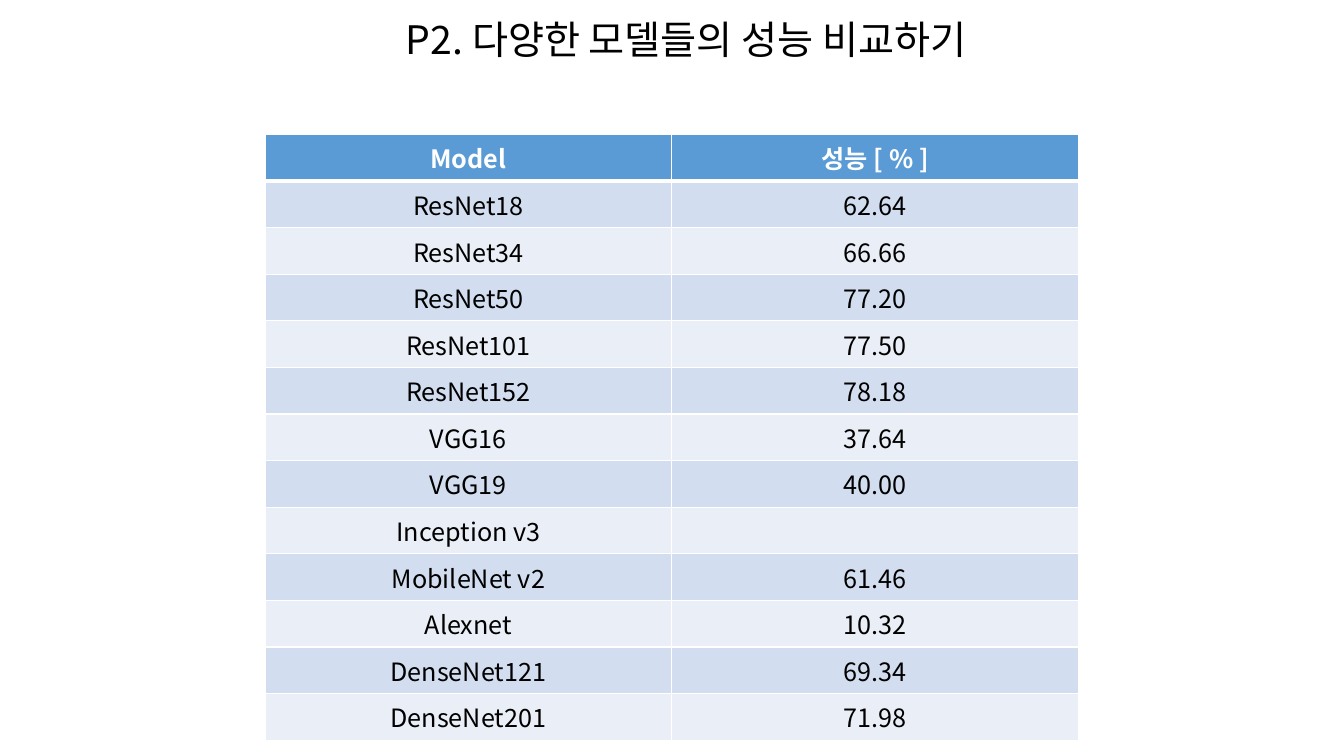
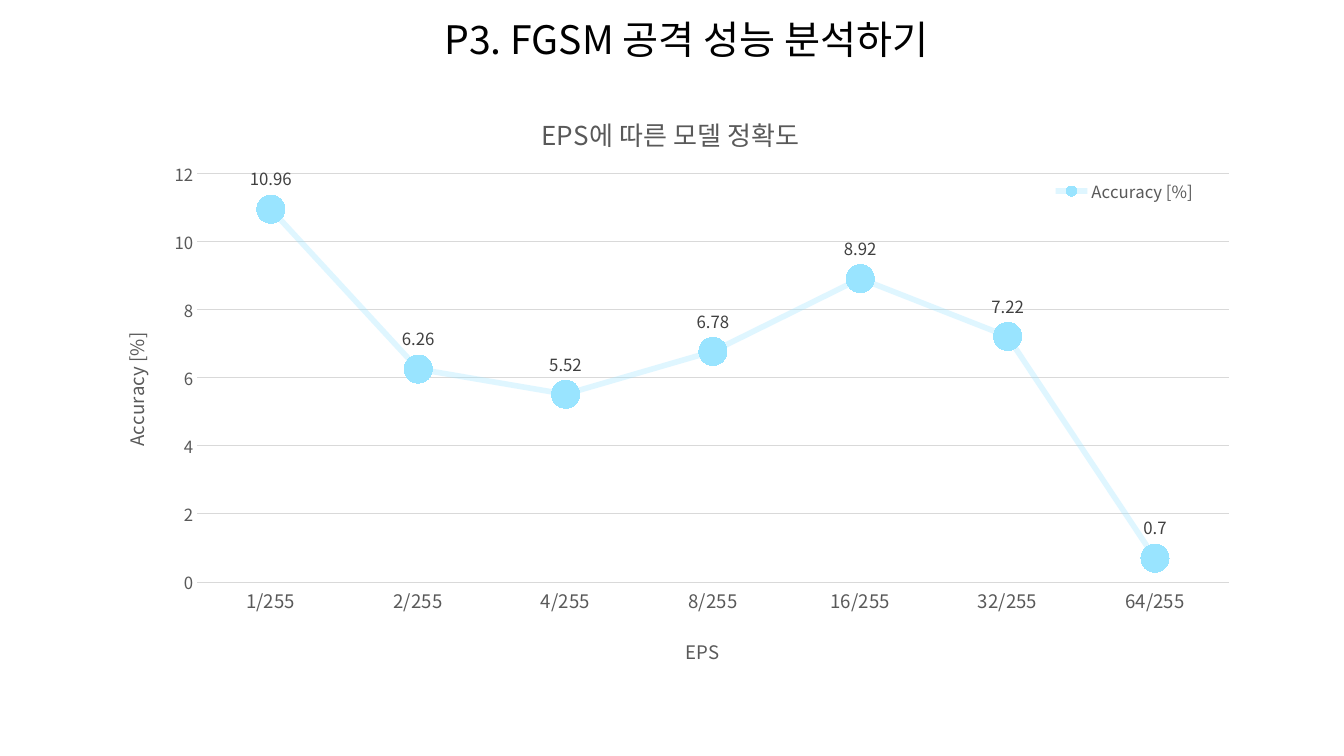
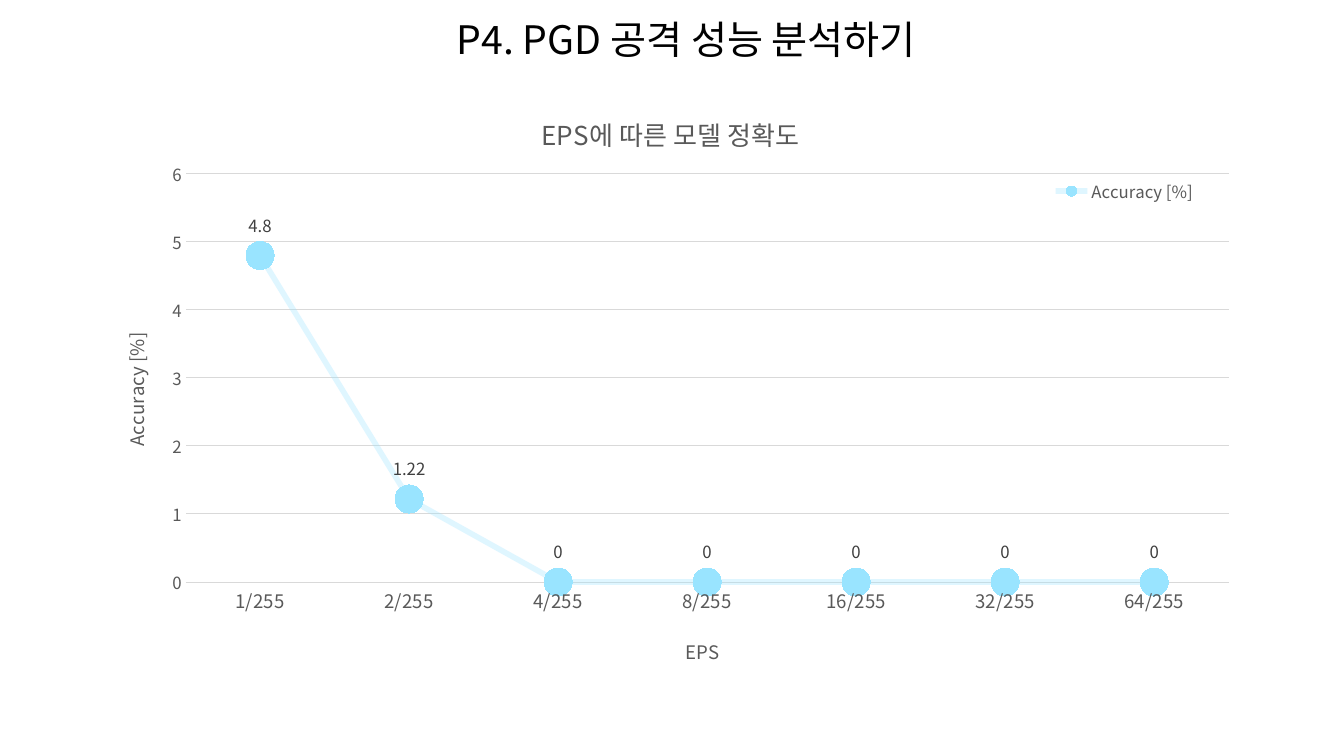
from lxml import etree
from pptx import Presentation
from pptx.chart.data import CategoryChartData
from pptx.dml.color import RGBColor
from pptx.enum.chart import (XL_CHART_TYPE, XL_LABEL_POSITION, XL_LEGEND_POSITION,
                             XL_MARKER_STYLE, XL_TICK_MARK)
from pptx.enum.text import MSO_ANCHOR, MSO_AUTO_SIZE, PP_ALIGN
from pptx.oxml.ns import qn
from pptx.util import Cm, Pt

LINE_MARKERS = XL_CHART_TYPE.LINE_MARKERS
LABEL_ABOVE = XL_LABEL_POSITION.ABOVE
LEGEND_CORNER = XL_LEGEND_POSITION.CORNER
CIRCLE = XL_MARKER_STYLE.CIRCLE
NO_TICK = XL_TICK_MARK.NONE
MIDDLE = MSO_ANCHOR.MIDDLE
NO_FIT = MSO_AUTO_SIZE.NONE
CENTER = PP_ALIGN.CENTER

FONT = "Noto Sans CJK KR"
BLACK = RGBColor(0x00, 0x00, 0x00)
WHITE = RGBColor(0xFF, 0xFF, 0xFF)
HEADER_BLUE = RGBColor(0x5B, 0x9B, 0xD5)
BAND_DARK = RGBColor(0xD2, 0xDE, 0xEF)
BAND_LIGHT = RGBColor(0xEA, 0xEF, 0xF7)
SKY = RGBColor(0x99, 0xE4, 0xFF)
GRAY = RGBColor(0x59, 0x59, 0x59)
LABEL_GRAY = RGBColor(0x40, 0x40, 0x40)
GRID_GRAY = RGBColor(0xD9, 0xD9, 0xD9)

TITLES = [
    "P2. 다양한 모델들의 성능 비교하기",
    "P3. FGSM 공격 성능 분석하기",
    "P4. PGD 공격 성능 분석하기",
]
RESULTS = [
    ("Model", "성능 [ % ]"),
    ("ResNet18", "62.64"),
    ("ResNet34", "66.66"),
    ("ResNet50", "77.20"),
    ("ResNet101", "77.50"),
    ("ResNet152", "78.18"),
    ("VGG16", "37.64"),
    ("VGG19", "40.00"),
    ("Inception v3", ""),
    ("MobileNet v2", "61.46"),
    ("Alexnet", "10.32"),
    ("DenseNet121", "69.34"),
    ("DenseNet201", "71.98"),
]
EPS_STEPS = [f"{2 ** power}/255" for power in range(7)]
# Accuracy values, axis maximum, axis step, left edge of the plot
ATTACKS = [
    ((10.96, 6.26, 5.52, 6.78, 8.92, 7.22, 0.7), 12, 2, 0.09),
    ((4.8, 1.22, 0, 0, 0, 0, 0), 6, 1, 0.08),
]
PLOT_RIGHT = 0.98


def write_text(frame, text, size=18, color=BLACK, bold=False, spacing=None):
    para = frame.paragraphs[0]
    para.alignment = CENTER
    if spacing:
        para.line_spacing = spacing
    span = para.add_run()
    span.text = text
    font = span.font
    font.name, font.size, font.bold = FONT, Pt(size), bold
    font.color.rgb = color
    etree.SubElement(font._element, qn("a:ea"), typeface=FONT)


def place(element, **values):
    """Give a chart part a manual layout, in fractions of the chart."""
    layout = element.find(qn("c:layout"))
    if layout is None:
        layout = etree.Element(qn("c:layout"))
        overlay = element.find(qn("c:overlay"))
        if overlay is None:
            element.insert(0, layout)
        else:
            overlay.addprevious(layout)
    manual = etree.SubElement(layout, qn("c:manualLayout"))
    if "w" in values:
        etree.SubElement(manual, qn("c:layoutTarget"), val="inner")
    for name in ("xMode", "yMode"):
        etree.SubElement(manual, qn(f"c:{name}"), val="edge")
    for name, value in values.items():
        etree.SubElement(manual, qn(f"c:{name}"), val=f"{value:.3f}")


deck = Presentation()
deck.slide_width, deck.slide_height = Cm(33.87), Cm(19.05)
title_only = deck.slide_layouts[5]

pages = []
for heading in TITLES:
    page = deck.slides.add_slide(title_only)
    title = page.shapes.title
    title.left, title.top, title.width, title.height = Cm(8.2), Cm(0.18), Cm(18.19), Cm(1.75)
    title.text_frame.auto_size = NO_FIT
    title.text_frame.vertical_anchor = MIDDLE
    write_text(title.text_frame, heading, size=28, spacing=0.9)
    pages.append(page)

# Model comparison table
table = pages[0].shapes.add_table(
    len(RESULTS), 2, Cm(6.68), Cm(3.39), Cm(20.5), Cm(13.39)).table
for row, record in enumerate(RESULTS):
    is_header = row == 0
    band = HEADER_BLUE if is_header else BAND_DARK if row % 2 else BAND_LIGHT
    for column, text in enumerate(record):
        cell = table.cell(row, column)
        cell.vertical_anchor = MIDDLE
        cell.fill.solid()
        cell.fill.fore_color.rgb = band
        if text:
            write_text(cell.text_frame, text, color=WHITE if is_header else BLACK, bold=is_header)
        properties = cell._tc.get_or_add_tcPr()
        for index, side in enumerate(("L", "R", "T", "B")):
            under_header = (row, side) in ((0, "B"), (1, "T"))
            border = etree.Element(qn(f"a:ln{side}"), w=str(Pt(3 if under_header else 1)))
            fill = etree.SubElement(border, qn("a:solidFill"))
            etree.SubElement(fill, qn("a:srgbClr"), val=str(WHITE))
            properties.insert(index, border)

# Attack accuracy charts
for page, (accuracies, maximum, step, plot_left) in zip(pages[1:], ATTACKS):
    data = CategoryChartData()
    data.categories = EPS_STEPS
    data.add_series("Accuracy [%]", accuracies)
    chart = page.shapes.add_chart(
        LINE_MARKERS, Cm(2.34), Cm(2.11), Cm(29.21), Cm(15.04), data).chart
    chart.font.name, chart.font.size = FONT, Pt(10)
    plot = chart.plots[0]
    plot.vary_by_categories = False
    place(chart._chartSpace.chart.plotArea,
          x=plot_left, y=0.151, w=PLOT_RIGHT - plot_left, h=0.684)

    chart.has_title = True
    write_text(chart.chart_title.text_frame, "EPS에 따른 모델 정확도", size=18.6, color=GRAY)
    place(chart.chart_title._element, x=0.383, y=0.039)

    chart.has_legend = True
    legend = chart.legend
    legend.position = LEGEND_CORNER
    legend.include_in_layout = True
    place(legend._element, x=0.826, y=0.152)

    eps_axis, accuracy_axis = chart.category_axis, chart.value_axis
    for axis, name, x, y in ((eps_axis, "EPS", 0.508, 0.918),
                             (accuracy_axis, "Accuracy [%]", 0.021, 0.411)):
        axis.major_tick_mark = axis.minor_tick_mark = NO_TICK
        axis.has_title = True
        write_text(axis.axis_title.text_frame, name, size=13.3, color=GRAY)
        place(axis.axis_title._element, x=x, y=y)
    accuracy_axis.minimum_scale, accuracy_axis.maximum_scale = 0, maximum
    accuracy_axis.major_unit = step
    accuracy_axis.format.line.fill.background()
    for line in (eps_axis.format.line, accuracy_axis.major_gridlines.format.line):
        line.color.rgb = GRID_GRAY
        line.width = Pt(0.75)

    series = plot.series[0]
    series.smooth = False
    series.format.line.width = Pt(4)
    series.format.line.color.rgb = SKY
    line_color = series.format.line._ln.find(".//" + qn("a:srgbClr"))
    etree.SubElement(line_color, qn("a:alpha"), val="31000")
    marker = series.marker
    marker.style, marker.size = CIRCLE, 20
    marker.format.fill.solid()
    marker.format.fill.fore_color.rgb = SKY
    marker.format.line.fill.background()
    labels = series.data_labels
    labels.show_value = True
    labels.position = LABEL_ABOVE

    for font, size, color in ((legend.font, 12, GRAY),
                              (eps_axis.tick_labels.font, 13.3, GRAY),
                              (accuracy_axis.tick_labels.font, 12, GRAY),
                              (labels.font, 12, LABEL_GRAY)):
        font.name, font.size = FONT, Pt(size)
        font.color.rgb = color

deck.save("out.pptx")
